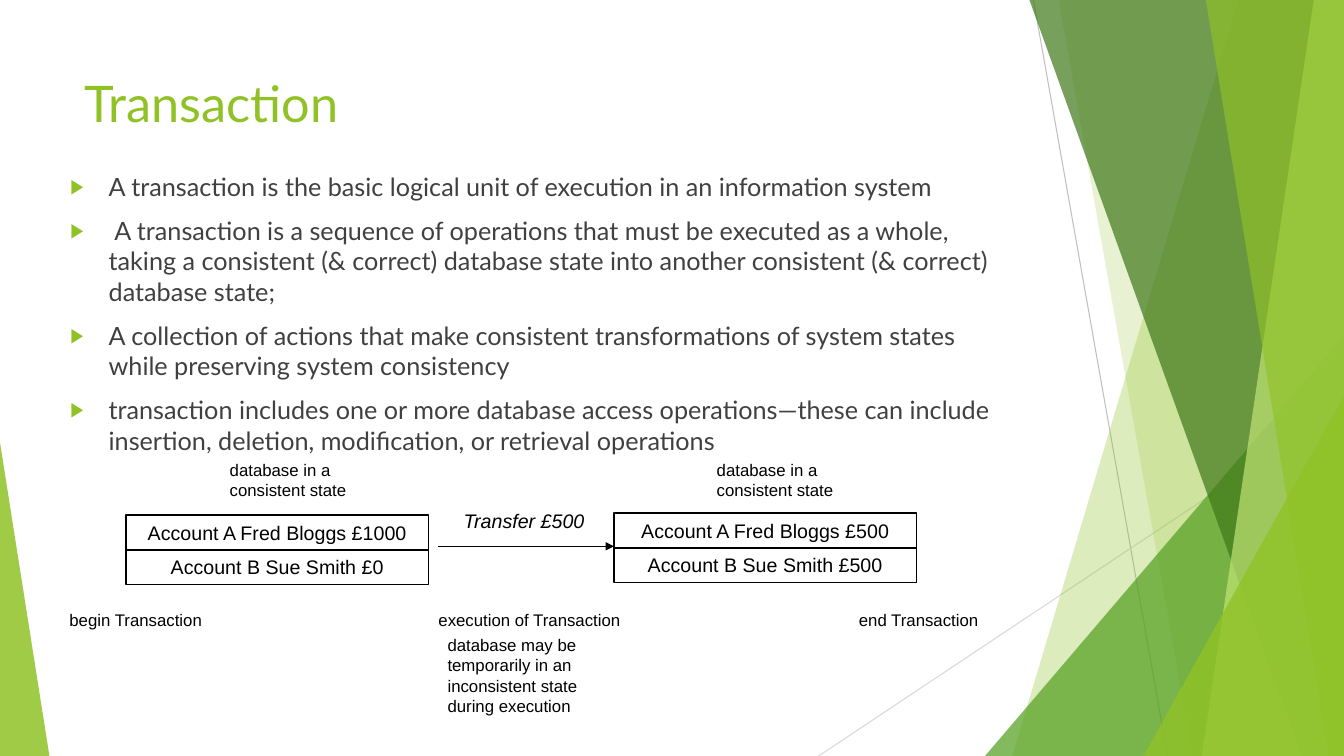
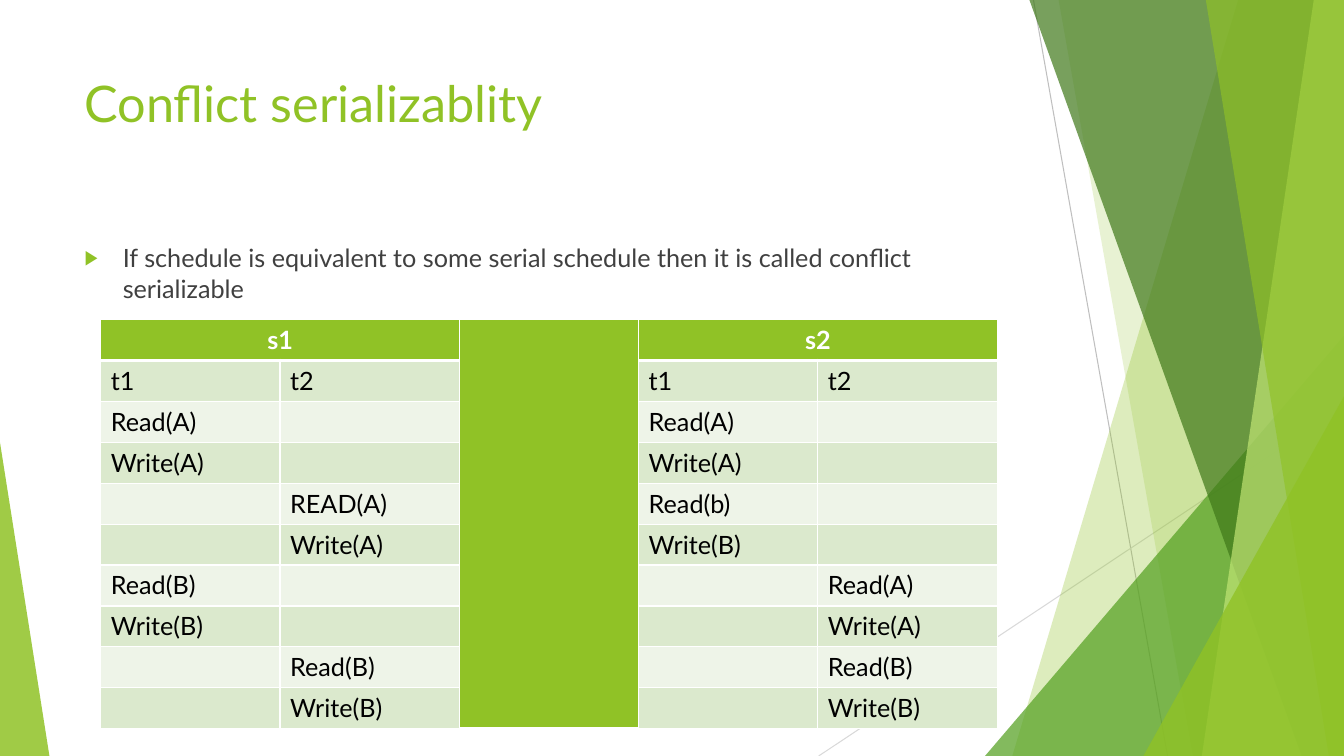
import lxml.etree
import pptx
import pptx.dml.color
import pptx.enum.shapes
import pptx.enum.text
import pptx.oxml
import pptx.oxml.ns
import pptx.util

Inches = pptx.util.Inches
Pt = pptx.util.Pt
Shapes = pptx.enum.shapes.MSO_SHAPE
Align = pptx.enum.text.PP_ALIGN
Anchor = pptx.enum.text.MSO_ANCHOR
qn = pptx.oxml.ns.qn

WIDTH, HEIGHT = 13.33, 7.5
GREEN, LEAF, FOREST, LIME = "90C226", "54A021", "3F7819", "C0E474"
GREY, BLACK, WHITE = "404040", "000000", "FFFFFF"
STRIPES = ("EEF4E8", "DBE9CD")


def sub(parent, tag, **attributes):
    return lxml.etree.SubElement(parent, qn(tag), attributes)


def paint(target, color, opacity=100):
    target.solid()
    target.fore_color.rgb = pptx.dml.color.RGBColor.from_string(color)
    if opacity < 100:
        for tint in target._xPr.iter(qn("a:srgbClr")):
            sub(tint, "a:alpha", val=str(opacity * 1000))


def write(paragraph, text, size=18, font="Lato", color=BLACK, bold=False,
          italic=False, align=Align.LEFT):
    paragraph.alignment = align
    run = paragraph.add_run()
    run.text = text
    run.font.name = font
    run.font.size = Pt(size)
    run.font.bold = bold
    run.font.italic = italic
    paint(run.font.fill, color)


class Deck:
    """Hold the shared style and the slide being built."""

    def __init__(self):
        self.show = pptx.Presentation()
        self.show.slide_width = Inches(WIDTH)
        self.show.slide_height = Inches(HEIGHT)
        self.shapes = None

    def slide(self, title):
        self.shapes = self.show.slides.add_slide(self.show.slide_layouts[6]).shapes
        self.line(10.25, 0, 11.58, HEIGHT, "BFBFBF", 0.75)
        self.line(WIDTH, 4.03, 8.12, HEIGHT, "D9D9D9", 0.75)
        self.band(12.28, 10.04, GREEN, 30)
        self.band(10.5, 11.83, GREEN, 20)
        self.corner(9.77, 3.56, 4.17, 1, LEAF, 72)
        self.band(10.21, 12.91, FOREST, 70)
        self.band(13.03, 11.92, LIME, 70)
        self.band(11.96, 13.18, GREEN, 65)
        self.corner(11.34, 1.99, 3.57, 1, GREEN, 80)
        self.corner(0, 0.49, 3.11, 0, GREEN, 85)
        self.text(title, 0.74, 0.67, 9.4, 1.17, size=36, color=GREEN)

    def line(self, x1, y1, x2, y2, color, weight, arrow=False):
        line = self.shapes.add_connector(
            pptx.enum.shapes.MSO_CONNECTOR.STRAIGHT,
            Inches(x1), Inches(y1), Inches(x2), Inches(y2))
        paint(line.line.fill, color)
        line.line.width = Pt(weight)
        if arrow:
            sub(line.line._get_or_add_ln(), "a:tailEnd", type="triangle")
        sub(line._element.spPr, "a:effectLst")

    def tint(self, shape, color, opacity):
        shape.shadow.inherit = False
        paint(shape.fill, color, opacity)
        shape.line.fill.background()

    def band(self, top, foot, color, opacity):
        outline = self.shapes.build_freeform(Inches(top), 0)
        outline.add_line_segments([(Inches(WIDTH), 0),
                                   (Inches(WIDTH), Inches(HEIGHT)),
                                   (Inches(foot), Inches(HEIGHT))])
        self.tint(outline.convert_to_shape(), color, opacity)

    def corner(self, left, width, height, apex, color, opacity):
        corner = self.shapes.add_shape(
            Shapes.ISOSCELES_TRIANGLE, Inches(left), Inches(HEIGHT - height),
            Inches(width), Inches(height))
        corner.adjustments[0] = apex
        self.tint(corner, color, opacity)

    def text(self, text, left, top, width, height, wrap=True, **style):
        frame = self.shapes.add_textbox(
            Inches(left), Inches(top), Inches(width), Inches(height)).text_frame
        frame.word_wrap = wrap
        write(frame.paragraphs[0], text, **style)

    def bullets(self, points, left, top):
        frame = self.shapes.add_textbox(
            Inches(left), Inches(top), Inches(9.4), Inches(4.24)).text_frame
        frame.word_wrap = True
        for index, point in enumerate(points):
            paragraph = frame.add_paragraph() if index else frame.paragraphs[0]
            paragraph.space_before = Pt(10 if index else 0)
            write(paragraph, point, color=GREY)
            layout = paragraph._p.get_or_add_pPr()
            layout.set("marL", str(Inches(0.38)))
            layout.set("indent", str(-Inches(0.38)))
            sub(sub(layout, "a:buClr"), "a:srgbClr", val=GREEN)
            sub(layout, "a:buSzPct", val="80000")
            sub(layout, "a:buFont", typeface="Arial")
            sub(layout, "a:buChar", char="▶")

    def accounts(self, rows, left, top):
        for index, account in enumerate(rows):
            box = self.shapes.add_shape(
                Shapes.RECTANGLE, Inches(left), Inches(top + 0.34 * index),
                Inches(3), Inches(0.35))
            box.shadow.inherit = False
            box.fill.background()
            paint(box.line.fill, BLACK)
            box.line.width = Pt(1)
            box.text_frame.vertical_anchor = Anchor.MIDDLE
            write(box.text_frame.paragraphs[0], account, size=14, font="Arial",
                  align=Align.CENTER)

    def cell(self, cell, text, row):
        header = row == 0
        borders = cell._tc.get_or_add_tcPr()
        for edge in "LRTB":
            thick = (row, edge) in ((0, "B"), (1, "T"))
            border = sub(borders, "a:ln" + edge, w=str(Pt(3 if thick else 1)))
            sub(sub(border, "a:solidFill"), "a:srgbClr", val=WHITE)
        paint(cell.fill, GREEN if header else STRIPES[row % 2])
        if text:
            write(cell.text_frame.paragraphs[0], text, bold=header,
                  color=WHITE if header else BLACK,
                  align=Align.CENTER if header else Align.LEFT)

    def schedules(self, rows, left, top, width, height):
        grid = self.shapes.add_table(
            len(rows), len(rows[0]), Inches(left), Inches(top),
            Inches(width), Inches(height)).table
        last = len(rows) - 1
        for start, end in (((0, 0), (0, 1)), ((0, 2), (last, 2)), ((0, 3), (0, 4))):
            grid.cell(*start).merge(grid.cell(*end))
        for row, texts in enumerate(rows):
            for column, text in enumerate(texts):
                cell = grid.cell(row, column)
                if row == 0 or not cell.is_spanned:
                    self.cell(cell, text, row)


def transaction(deck):
    deck.slide("Transaction")
    deck.bullets([
        "A transaction is the basic logical unit of execution in an information system",
        " A transaction is a sequence of operations that must be executed as a whole, "
        "taking a consistent (& correct) database state into another consistent "
        "(& correct) database state;",
        "A collection of actions that make consistent transformations of system states "
        "while preserving system consistency",
        "transaction includes one or more database access operations—these can include "
        "insertion, deletion, modification, or retrieval operations",
    ], 0.6, 1.65)
    note = {"size": 12, "font": "Arial"}
    for left in (2.18, 7.01):
        deck.text("database in a consistent state", left, 4.51, 1.39, 0.5, **note)
    for stage, left, width in (("begin Transaction", 0.59, 1.52),
                               ("execution of Transaction", 4.25, 2.01),
                               ("end Transaction", 8.42, 1.39)):
        deck.text(stage, left, 6, width, 0.3, wrap=False, **note)
    deck.text("database may be temporarily in an inconsistent state during execution",
              4.34, 6.25, 1.71, 0.9, **note)
    deck.accounts(["Account A Fred Bloggs £1000", "Account B Sue Smith £0"], 1.25, 5.11)
    deck.accounts(["Account A Fred Bloggs £500", "Account B Sue Smith £500"], 6.09, 5.09)
    deck.line(4.34, 5.42, 6.09, 5.42, BLACK, 1, arrow=True)
    deck.text("Transfer £500", 4.5, 5, 1.58, 0.33, size=14, font="Arial", italic=True)


def serializability(deck):
    deck.slide("Conflict serializablity")
    deck.bullets(["If schedule is equivalent to some serial schedule then it is called "
                  "conflict serializable"], 0.74, 2.36)
    deck.schedules([
        ("s1", "", "", "s2", ""),
        ("t1", "t2", "", "t1", "t2"),
        ("Read(A)", "", "", "Read(A)", ""),
        ("Write(A)", "", "", "Write(A)", ""),
        ("", "READ(A)", "", "Read(b)", ""),
        ("", "Write(A)", "", "Write(B)", ""),
        ("Read(B)", "", "", "", "Read(A)"),
        ("Write(B)", "", "", "", "Write(A)"),
        ("", "Read(B)", "", "", "Read(B)"),
        ("", "Write(B)", "", "", "Write(B)"),
    ], 1, 3.17, 8.89, 4.06)


def main():
    deck = Deck()
    transaction(deck)
    serializability(deck)
    deck.show.save("out.pptx")


if __name__ == "__main__":
    main()
